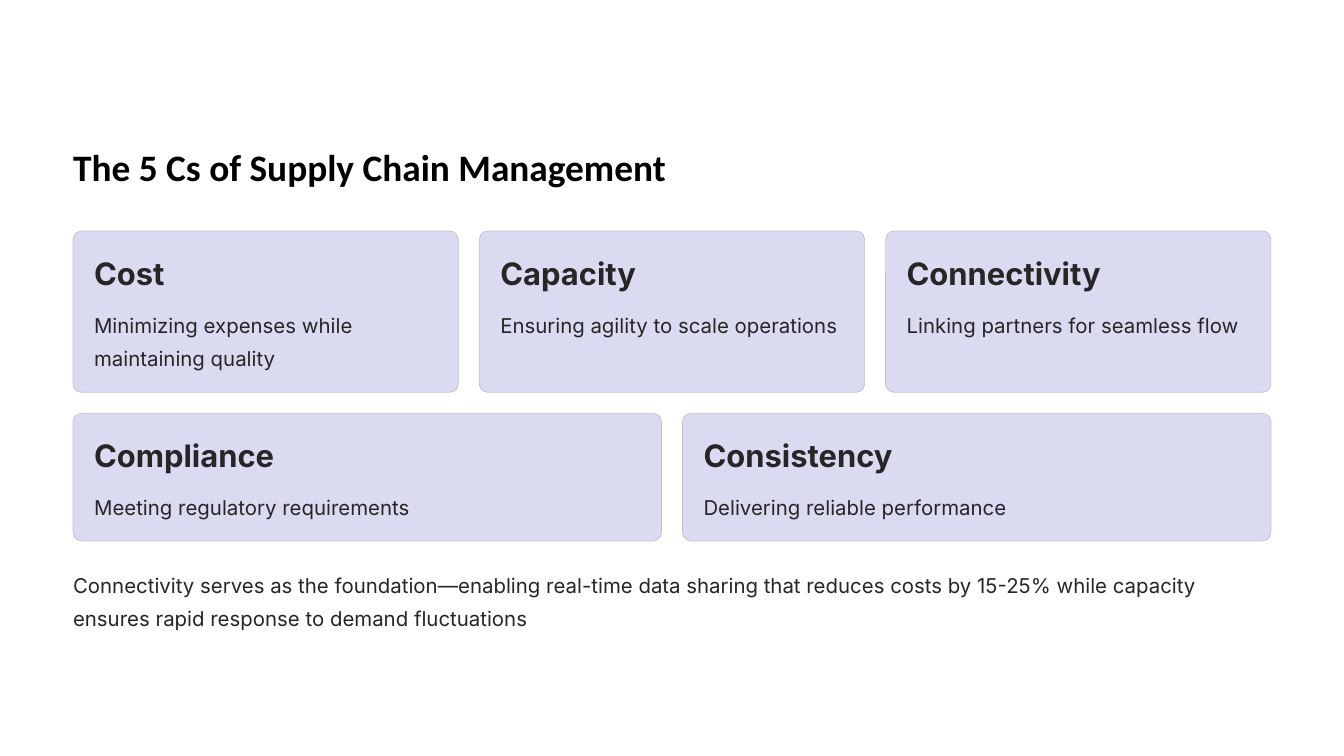
from dataclasses import dataclass

import pptx
import pptx.dml.color
import pptx.enum.shapes
import pptx.enum.text
import pptx.shapes.autoshape
import pptx.slide
import pptx.util

EMU_PER_PX = 9144  # 100 px to the inch
SLIDE_WIDTH, SLIDE_HEIGHT = 1600, 900
LEFT, CONTENT_WIDTH, GAP = 87, 1426, 25
CARDS_TOP, CORNER_RADIUS = 275, 10
PADDING, HEADING_OFFSET, BODY_OFFSET = 25, 26, 87


@dataclass(frozen=True)
class TextStyle:
    font: str
    size: float
    line_spacing: float
    color: str
    bold: bool = False


@dataclass(frozen=True)
class Theme:
    title: TextStyle = TextStyle("Calibri", 32, 55.5, "000000", True)
    heading: TextStyle = TextStyle("Inter", 26.5, 33, "272525", True)
    body: TextStyle = TextStyle("Inter", 17.5, 28.5, "272525")
    card_fill: str = "DADBF1"
    card_line: str = "C0C1D7"
    card_line_width: float = 0.6


@dataclass(frozen=True)
class Box:
    left: float
    top: float
    width: float
    height: float

    def emu(self) -> list[pptx.util.Emu]:
        return [pptx.util.Emu(round(length * EMU_PER_PX))
                for length in (self.left, self.top, self.width, self.height)]


@dataclass(frozen=True)
class Card:
    heading: str
    body: str


@dataclass(frozen=True)
class CardRow:
    height: int
    cards: tuple[Card, ...]


THEME = Theme()
ROWS = (
    CardRow(192, (
        Card("Cost", "Minimizing expenses while maintaining quality"),
        Card("Capacity", "Ensuring agility to scale operations"),
        Card("Connectivity", "Linking partners for seamless flow"),
    )),
    CardRow(152, (
        Card("Compliance", "Meeting regulatory requirements"),
        Card("Consistency", "Delivering reliable performance"),
    )),
)
SUMMARY = (
    "Connectivity serves as the foundation—enabling real-time data sharing that "
    "reduces costs by 15-25% while capacity ensures rapid response to demand fluctuations"
)


def rgb(value: str) -> pptx.dml.color.RGBColor:
    return pptx.dml.color.RGBColor.from_string(value)


def set_attributes(target: object, values: dict[str, object]) -> None:
    for name, value in values.items():
        setattr(target, name, value)


def write_text(shape: pptx.shapes.autoshape.Shape, text: str, style: TextStyle) -> None:
    frame = shape.text_frame
    frame.text = text
    set_attributes(frame, {
        "margin_left": 0, "margin_top": 0, "margin_right": 0, "margin_bottom": 0,
        "word_wrap": True,
        "auto_size": pptx.enum.text.MSO_AUTO_SIZE.NONE,
        "vertical_anchor": pptx.enum.text.MSO_ANCHOR.TOP,
    })
    paragraph = frame.paragraphs[0]
    set_attributes(paragraph, {
        "alignment": pptx.enum.text.PP_ALIGN.LEFT,
        "line_spacing": pptx.util.Pt(style.line_spacing),
    })
    font = paragraph.runs[0].font
    set_attributes(font, {
        "name": style.font, "size": pptx.util.Pt(style.size), "bold": style.bold,
    })
    font.color.rgb = rgb(style.color)


def add_text(slide: pptx.slide.Slide, box: Box, text: str, style: TextStyle) -> None:
    write_text(slide.shapes.add_textbox(*box.emu()), text, style)


def add_title(slide: pptx.slide.Slide, box: Box, text: str) -> None:
    title = slide.shapes.title
    set_attributes(title, dict(zip(("left", "top", "width", "height"), box.emu())))
    write_text(title, text, THEME.title)


def add_card(slide: pptx.slide.Slide, box: Box, card: Card) -> None:
    shape = slide.shapes.add_shape(
        pptx.enum.shapes.MSO_SHAPE.ROUNDED_RECTANGLE, *box.emu())
    shape.adjustments[0] = CORNER_RADIUS / box.height
    shape.shadow.inherit = False
    shape.fill.solid()
    shape.fill.fore_color.rgb = rgb(THEME.card_fill)
    shape.line.color.rgb = rgb(THEME.card_line)
    shape.line.width = pptx.util.Pt(THEME.card_line_width)

    text_left, text_width = box.left + PADDING, box.width - 2 * PADDING
    add_text(slide, Box(text_left, box.top + HEADING_OFFSET, text_width, 47),
             card.heading, THEME.heading)
    body_height = box.height - BODY_OFFSET - HEADING_OFFSET
    add_text(slide, Box(text_left, box.top + BODY_OFFSET, text_width, body_height),
             card.body, THEME.body)


def add_card_rows(slide: pptx.slide.Slide) -> None:
    top = CARDS_TOP
    for row in ROWS:
        count = len(row.cards)
        width = (CONTENT_WIDTH - (count - 1) * GAP) / count
        for column, card in enumerate(row.cards):
            left = LEFT + column * (width + GAP)
            add_card(slide, Box(left, top, width, row.height), card)
        top += row.height + GAP


def main() -> None:
    presentation = pptx.Presentation()
    presentation.slide_width = SLIDE_WIDTH * EMU_PER_PX
    presentation.slide_height = SLIDE_HEIGHT * EMU_PER_PX
    title_only = presentation.slide_layouts.get_by_name("Title Only")
    slide = presentation.slides.add_slide(title_only)
    add_title(slide, Box(LEFT, 148, 1174, 78), "The 5 Cs of Supply Chain Management")
    add_card_rows(slide)
    add_text(slide, Box(LEFT, 672, CONTENT_WIDTH, 79), SUMMARY, THEME.body)
    presentation.save("out.pptx")


if __name__ == "__main__":
    main()
